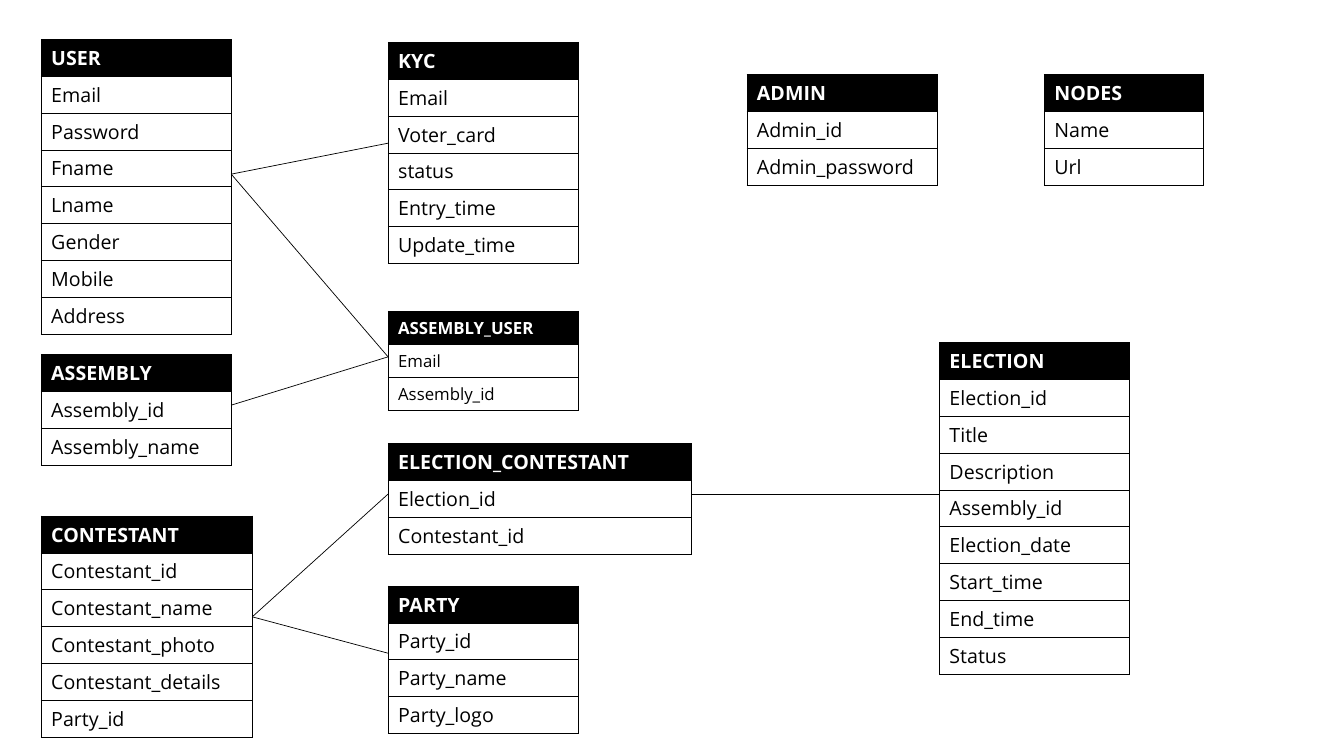
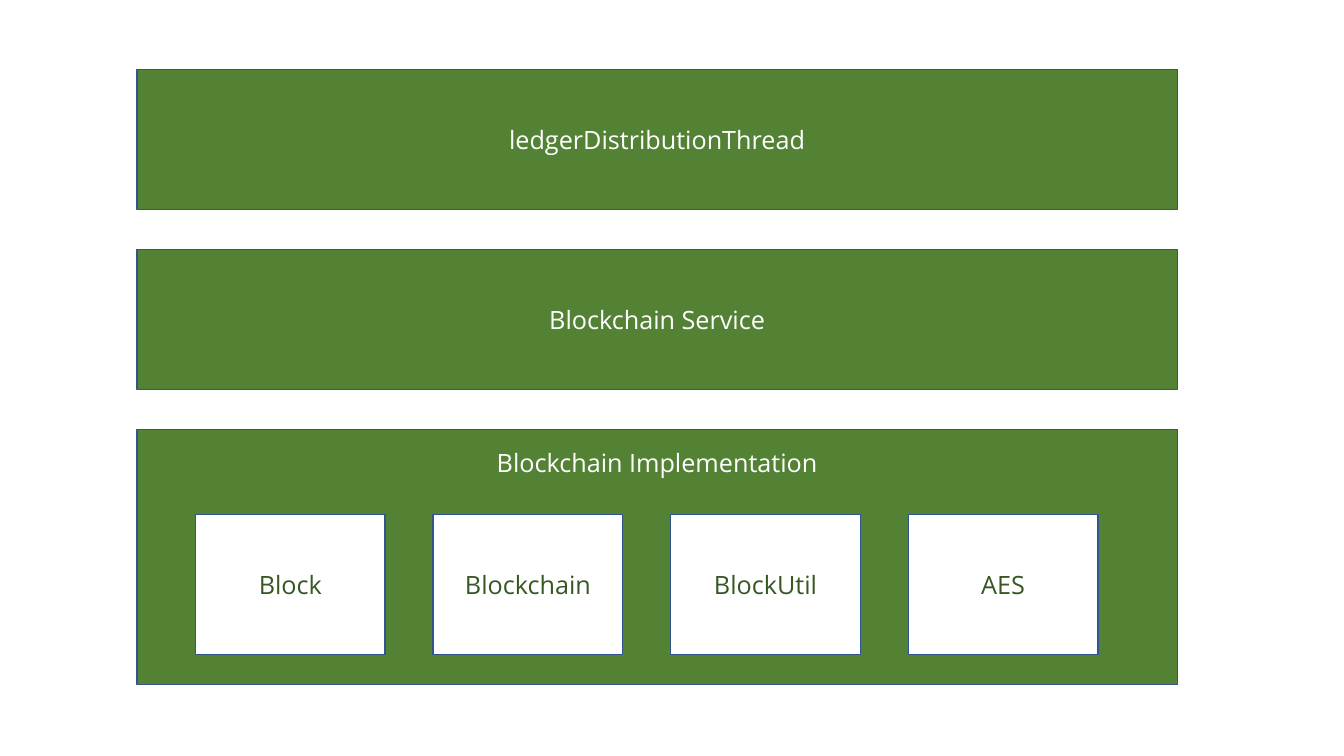
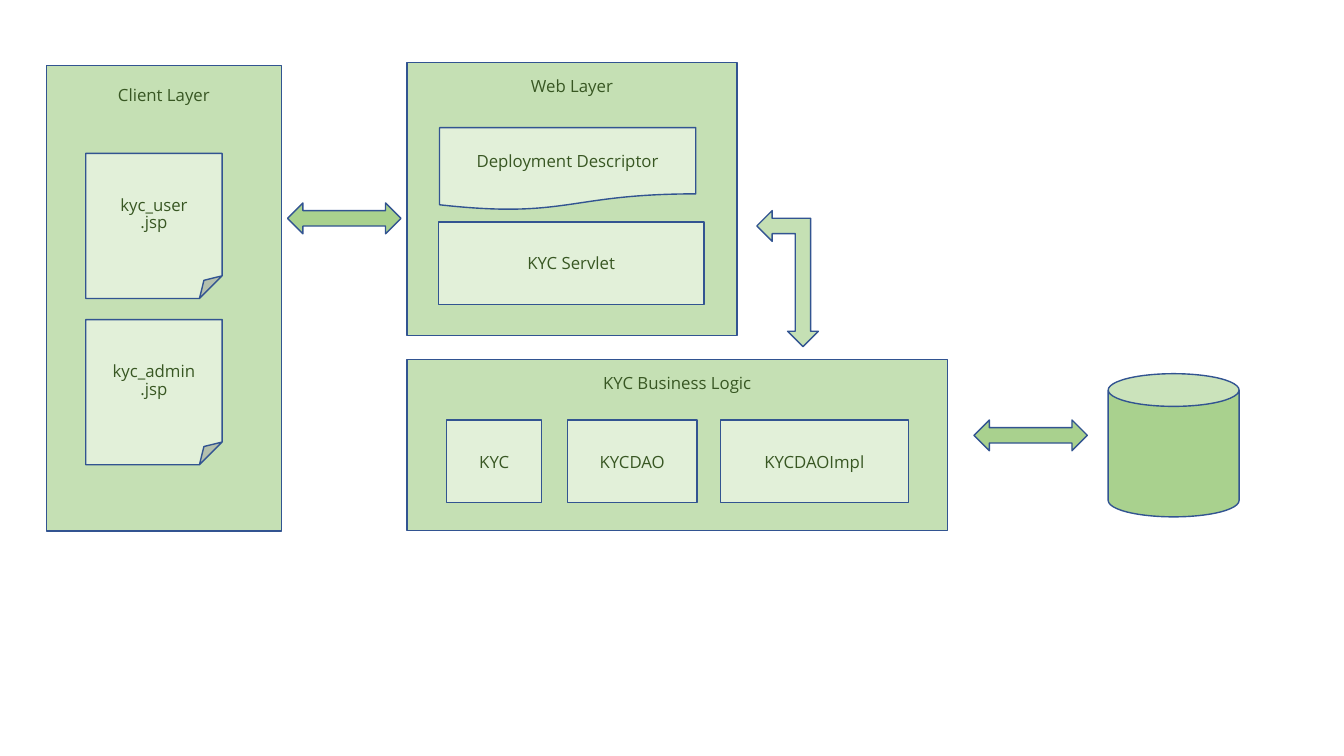
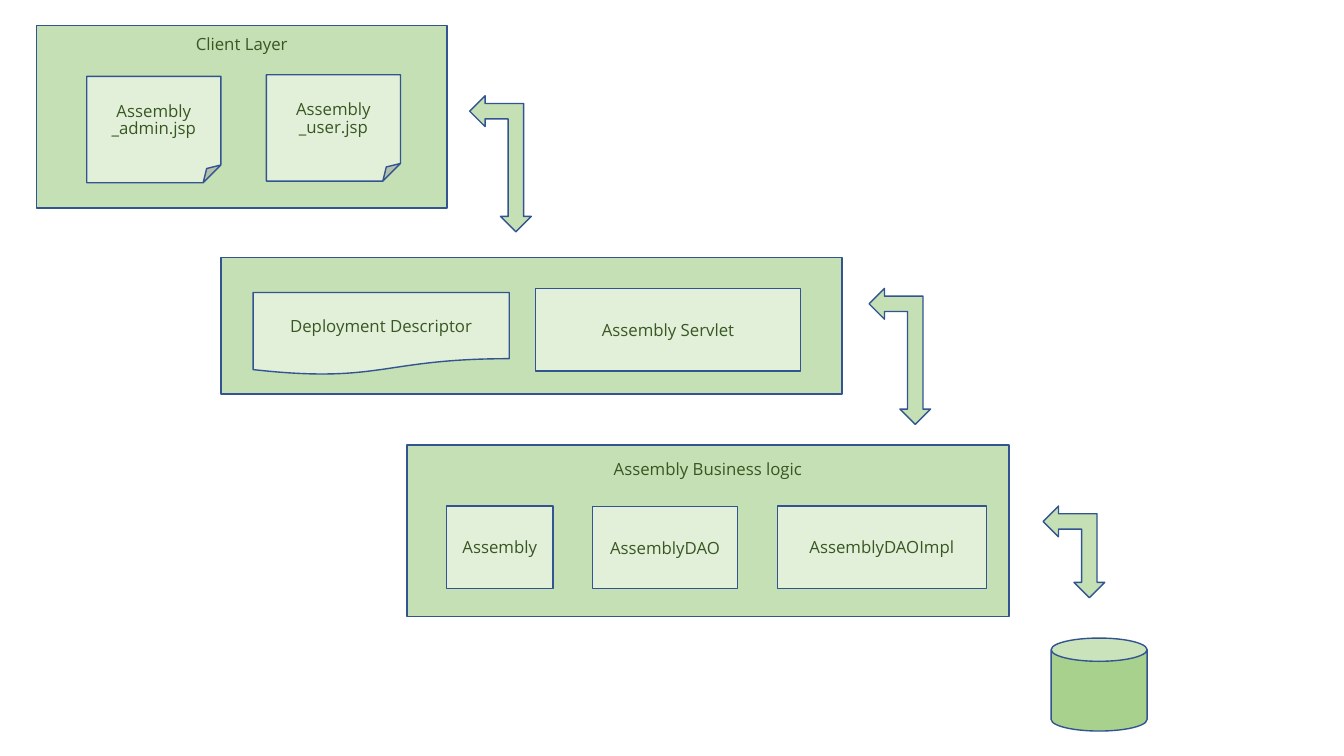
"""Build four diagram slides: a voting database schema and three layered architectures."""
from lxml.etree import SubElement
from pptx import Presentation
from pptx.dml.color import RGBColor
from pptx.enum.shapes import MSO_CONNECTOR, MSO_SHAPE
from pptx.enum.text import MSO_ANCHOR, PP_ALIGN
from pptx.oxml.ns import qn
from pptx.util import Pt

FONT = "Open Sans"
BLACK = RGBColor(0x00, 0x00, 0x00)
WHITE = RGBColor(0xFF, 0xFF, 0xFF)
NAVY = RGBColor(0x32, 0x54, 0x91)
DARK_GREEN = RGBColor(0x38, 0x57, 0x23)
GREEN = RGBColor(0x54, 0x82, 0x35)
MID_GREEN = RGBColor(0xA9, 0xD1, 0x8E)
LIGHT_GREEN = RGBColor(0xC5, 0xE0, 0xB4)
PALE_GREEN = RGBColor(0xE2, 0xF0, 0xD9)

RECT = MSO_SHAPE.RECTANGLE
NOTE = MSO_SHAPE.FOLDED_CORNER
DOCUMENT = MSO_SHAPE.FLOWCHART_DOCUMENT
CAN = MSO_SHAPE.CAN
TWO_WAY = MSO_SHAPE.LEFT_RIGHT_ARROW
CORNER = MSO_SHAPE.LEFT_UP_ARROW

deck = Presentation()
deck.slide_width, deck.slide_height = Pt(960), Pt(540)
blank = deck.slide_layouts[6]


def add_block(page, kind, place, fill, text="", size=12, color=DARK_GREEN, heading_gap=None):
    """Add an outlined shape; a heading gap puts its text at the top."""
    block = page.shapes.add_shape(kind, *[Pt(length) for length in place])
    block.shadow.inherit = False
    block.fill.solid()
    block.fill.fore_color.rgb = fill
    block.line.color.rgb = NAVY
    block.line.width = Pt(1)
    if kind == CORNER:
        block.rotation = 270
    if text:
        frame = block.text_frame
        frame.text = text
        frame.vertical_anchor = MSO_ANCHOR.MIDDLE
        if heading_gap is not None:
            frame.vertical_anchor = MSO_ANCHOR.TOP
            frame.margin_top = Pt(heading_gap)
        para = frame.paragraphs[0]
        para.alignment = PP_ALIGN.CENTER
        if "\v" in text:
            para.line_spacing = 0.88
        para.font.name = FONT
        para.font.size = Pt(size)
        para.font.color.rgb = color


def add_entity(page, left, top, width, size, names):
    """Add a one-column table with a black header row."""
    row_height = Pt(26.35 if size == 14 else 23.55)
    table = page.shapes.add_table(
        len(names), 1, Pt(left), Pt(top), Pt(width), row_height * len(names)
    ).table
    table.horz_banding = False
    for index, name in enumerate(names):
        header = index == 0
        table.rows[index].height = row_height
        cell = table.cell(index, 0)
        properties = cell._tc.get_or_add_tcPr()
        for side in ("lnL", "lnR", "lnT", "lnB"):
            border = SubElement(properties, qn("a:" + side), w=str(Pt(0.5)))
            paint = SubElement(border, qn("a:solidFill"))
            SubElement(paint, qn("a:srgbClr"), val=str(BLACK))
        cell.fill.solid()
        cell.fill.fore_color.rgb = BLACK if header else WHITE
        cell.text = name
        font = cell.text_frame.paragraphs[0].font
        font.name = FONT
        font.size = Pt(size)
        font.bold = header
        font.color.rgb = WHITE if header else BLACK


schema = deck.slides.add_slide(blank)
entities = [
    (29.4, 28.1, 136, 14, "USER Email Password Fname Lname Gender Mobile Address"),
    (277.2, 30.2, 136, 14, "KYC Email Voter_card status Entry_time Update_time"),
    (533.5, 53.4, 136, 14, "ADMIN Admin_id Admin_password"),
    (29.4, 253.1, 136, 14, "ASSEMBLY Assembly_id Assembly_name"),
    (277.2, 222.3, 136, 12, "ASSEMBLY_USER Email Assembly_id"),
    (277.2, 418.6, 136, 14, "PARTY Party_id Party_name Party_logo"),
    (29.4, 368.6, 150.8, 14, "CONTESTANT Contestant_id Contestant_name Contestant_photo "
     "Contestant_details Party_id"),
    (671, 244.6, 136, 14, "ELECTION Election_id Title Description Assembly_id "
     "Election_date Start_time End_time Status"),
    (277.2, 316.8, 216.8, 14, "ELECTION_CONTESTANT Election_id Contestant_id"),
    (745.9, 53.4, 113.8, 14, "NODES Name Url"),
]
for left, top, width, size, names in entities:
    add_entity(schema, left, top, width, size, names.split())

relations = [
    (165.2, 124.4, 277.2, 102.3),
    (165.2, 124.4, 277.2, 254.9),
    (165.2, 289.4, 277.2, 254.9),
    (493.9, 352.9, 671, 352.9),
    (180.2, 440.6, 277.2, 352.9),
    (180.2, 440.6, 277.2, 466.6),
]
for ends in relations:
    relation = schema.shapes.add_connector(
        MSO_CONNECTOR.STRAIGHT, *[Pt(length) for length in ends]
    )
    relation.line.color.rgb = BLACK
    relation.line.width = Pt(0.5)
    SubElement(relation._element.spPr, qn("a:effectLst"))

blockchain = deck.slides.add_slide(blank)
layers = [
    ("ledgerDistributionThread", 100, None),
    ("Blockchain Service", 100, None),
    ("Blockchain Implementation", 182, 13),
]
for index, (name, height, gap) in enumerate(layers):
    place = (97.9, 49.8 + index * 128.5, 743, height)
    add_block(blockchain, RECT, place, GREEN, name, 18, WHITE, gap)
for index, name in enumerate(["Block", "Blockchain", "BlockUtil", "AES"]):
    place = (139.7 + index * 169.7, 367.4, 135.4, 100)
    add_block(blockchain, RECT, place, WHITE, name, 18)

kyc_panels = [
    ((290.6, 44.5, 236, 195), "Web Layer", 9.5),
    ((33.1, 46.6, 168, 332.6), "Client Layer", 14),
    ((290.6, 256.8, 386.4, 122.4), "KYC Business Logic", 9.5),
]
kyc_parts = [
    (NOTE, (61.3, 228.3, 97.4, 103.7), "kyc_admin\v.jsp"),
    (NOTE, (61.3, 109.6, 97.4, 103.7), "kyc_user\v.jsp"),
    (DOCUMENT, (314, 91.2, 183, 59), "Deployment Descriptor"),
    (RECT, (313.2, 158.5, 189.6, 59), "KYC Servlet"),
    (RECT, (319, 300, 68, 59), "KYC"),
    (RECT, (405.4, 300, 92.4, 59), "KYCDAO"),
    (RECT, (514.6, 300, 134.2, 59), "KYCDAOImpl"),
]
kyc_links = [
    (CAN, (791.6, 266.9, 93.5, 102.3), MID_GREEN),
    (TWO_WAY, (205.4, 145, 81, 22), MID_GREEN),
    (TWO_WAY, (695.7, 300, 81, 22), MID_GREEN),
    (CORNER, (514, 177, 97.2, 44), LIGHT_GREEN),
]

assembly_panels = [
    ((157.8, 184.1, 443.6, 97.4), "", None),
    ((26.1, 18.2, 293.2, 130.4), "Client Layer", 6),
    ((290.6, 318, 430.2, 122.4), "Assembly Business logic", 9.5),
]
assembly_parts = [
    (NOTE, (190.3, 53.4, 95.8, 76), "Assembly\v_user.jsp"),
    (NOTE, (62, 54.5, 95.8, 76), "Assembly\v_admin.jsp"),
    (DOCUMENT, (180.8, 208.9, 183, 59), "Deployment Descriptor"),
    (RECT, (382.4, 206, 189.6, 59), "Assembly Servlet"),
    (RECT, (319, 361.4, 76, 59), "Assembly"),
    (RECT, (423.4, 361.6, 103.2, 59), "AssemblyDAO"),
    (RECT, (555.3, 361.4, 149.2, 59), "AssemblyDAOImpl"),
]
assembly_links = [
    (CAN, (750.8, 455.8, 68.6, 66.4), MID_GREEN),
    (CORNER, (308.9, 95, 97.2, 44), LIGHT_GREEN),
    (CORNER, (594.2, 232.6, 97.2, 44), LIGHT_GREEN),
    (CORNER, (734.4, 372.2, 65.5, 44), LIGHT_GREEN),
]

for panels, parts, links in (
    (kyc_panels, kyc_parts, kyc_links),
    (assembly_panels, assembly_parts, assembly_links),
):
    page = deck.slides.add_slide(blank)
    for place, name, gap in panels:
        add_block(page, RECT, place, LIGHT_GREEN, name, heading_gap=gap)
    for kind, place, name in parts:
        add_block(page, kind, place, PALE_GREEN, name)
    for kind, place, fill in links:
        add_block(page, kind, place, fill)

deck.save("out.pptx")
